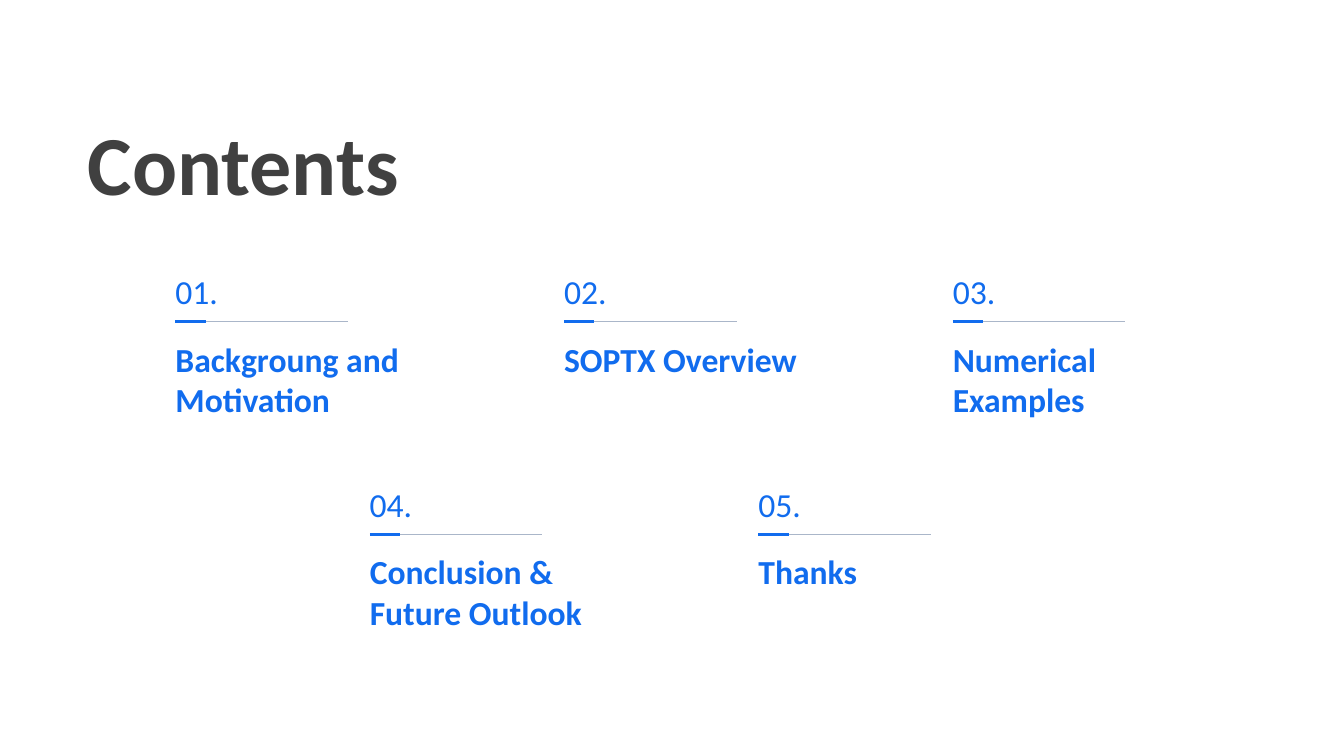
from dataclasses import dataclass

import pptx
import pptx.dml.color
import pptx.enum.shapes
import pptx.enum.text
import pptx.oxml
import pptx.util
from pptx.util import Inches


@dataclass(frozen=True)
class Theme:
    font: str = "Calibri"
    title_color: str = "404040"
    accent: str = "116CEE"
    rule_color: str = "AAB6C9"
    title_size: int = 60
    entry_size: int = 24
    rule_width: float = 0.75
    accent_width: float = 2.25


THEME = Theme()
TOP = pptx.enum.text.MSO_ANCHOR.TOP
BOTTOM = pptx.enum.text.MSO_ANCHOR.BOTTOM

COLUMN_PITCH = 3.855
ROW_PITCH = 2.11
FIRST_LEFT = 1.74
FIRST_RULE = 3.19
ROWS = [
    ["Backgroung and\nMotivation", "SOPTX Overview", "Numerical Examples"],
    ["Conclusion & Future Outlook", "Thanks"],
]


def add_text(page, text, left, top, width, height, size, color, bold, anchor):
    box = page.shapes.add_textbox(
        Inches(left), Inches(top), Inches(width), Inches(height)
    )
    frame = box.text_frame
    frame.word_wrap = True
    frame.vertical_anchor = anchor
    frame.margin_left = frame.margin_right = 0
    frame.margin_top = frame.margin_bottom = 0
    frame.text = text
    for para in frame.paragraphs:
        for span in para.runs:
            span.font.name = THEME.font
            span.font.size = pptx.util.Pt(size)
            span.font.bold = bold
            span.font.color.rgb = pptx.dml.color.RGBColor.from_string(color)


def add_rule(page, left, top, length, color, width):
    rule = page.shapes.add_connector(
        pptx.enum.shapes.MSO_CONNECTOR.STRAIGHT,
        Inches(left), Inches(top), Inches(left + length), Inches(top),
    )
    rule.line.color.rgb = pptx.dml.color.RGBColor.from_string(color)
    rule.line.width = pptx.util.Pt(width)
    properties = rule._element.spPr
    properties.append(pptx.oxml.parse_xml(
        '<a:effectLst xmlns:a="http://schemas.openxmlformats.org/drawingml/2006/main"/>'
    ))


def add_entry(page, number, heading, left, rule_top):
    add_rule(page, left, rule_top, 1.71, THEME.rule_color, THEME.rule_width)
    add_rule(page, left, rule_top, 0.3, THEME.accent, THEME.accent_width)
    add_text(page, f"{number:02d}.", left, rule_top - 0.53, 0.86, 0.43,
             THEME.entry_size, THEME.accent, False, BOTTOM)
    add_text(page, heading, left, rule_top + 0.17, 2.78, 1.33,
             THEME.entry_size, THEME.accent, True, TOP)


def main():
    deck = pptx.Presentation()
    deck.slide_width = Inches(13.33)
    deck.slide_height = Inches(7.5)
    page = deck.slides.add_slide(deck.slide_layouts[6])

    add_text(page, "Contents", 0.87, 0.95, 3.67, 1.16,
             THEME.title_size, THEME.title_color, True, BOTTOM)

    number = 1
    for row, headings in enumerate(ROWS):
        indent = (len(ROWS[0]) - len(headings)) * COLUMN_PITCH / 2
        for column, heading in enumerate(headings):
            left = FIRST_LEFT + indent + column * COLUMN_PITCH
            add_entry(page, number, heading, left, FIRST_RULE + row * ROW_PITCH)
            number += 1

    deck.save("out.pptx")


if __name__ == "__main__":
    main()
